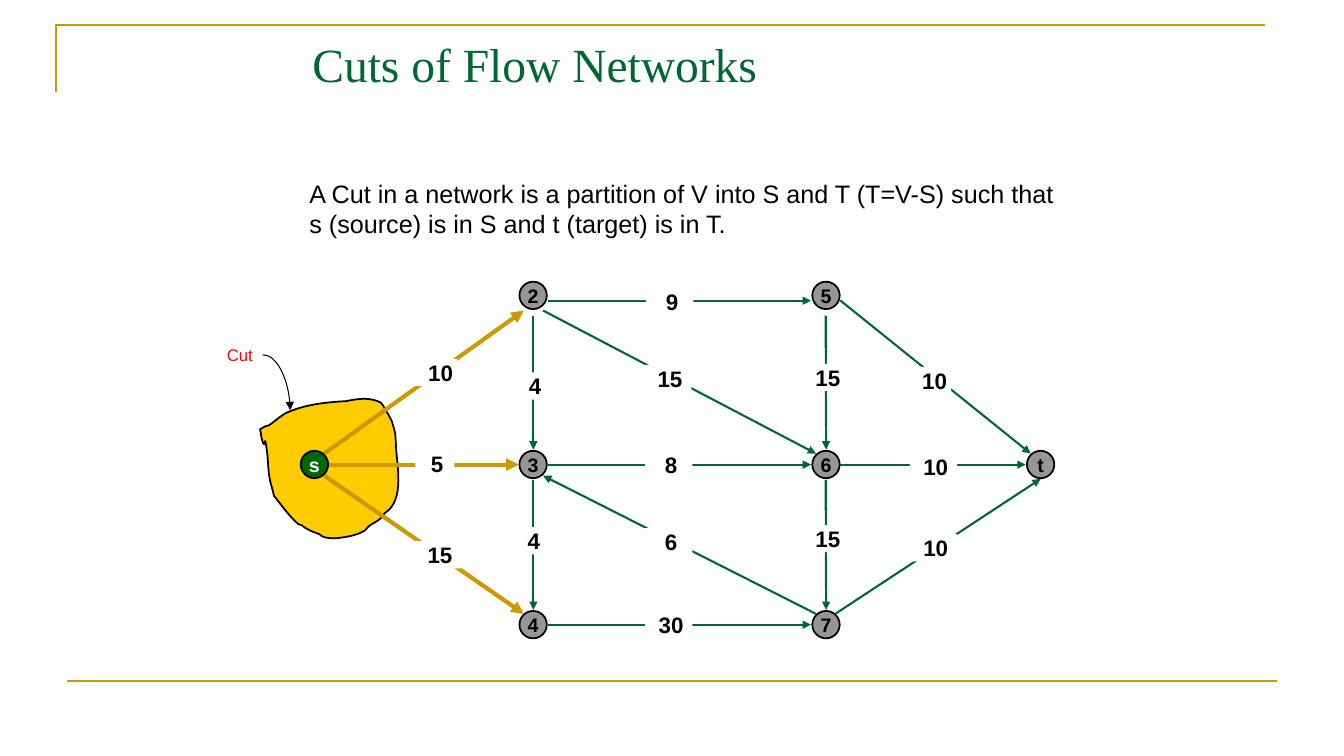
from dataclasses import dataclass

import pptx
import pptx.dml.color
import pptx.enum.shapes
import pptx.enum.text
import pptx.oxml.ns
import pptx.util
from lxml import etree

Pt = pptx.util.Pt
RGB = pptx.dml.color.RGBColor
Kind = pptx.enum.shapes.MSO_SHAPE
Link = pptx.enum.shapes.MSO_CONNECTOR
Align = pptx.enum.text.PP_ALIGN
Anchor = pptx.enum.text.MSO_ANCHOR
qn = pptx.oxml.ns.qn

WHITE = RGB(255, 255, 255)
BLACK = RGB(0, 0, 0)
RED = RGB(255, 0, 0)
GOLD = RGB(0xCC, 0x99, 0x00)
AMBER = RGB(0xFF, 0xCC, 0x00)
GREEN = RGB(0x00, 0x66, 0x33)
SOURCE = RGB(0x00, 0x66, 0x00)
GRAY = RGB(0x96, 0x96, 0x96)

NODE = 19.6
COST_HIGH = 19.4


@dataclass(frozen=True)
class Node:
    name: str
    x: float
    y: float
    fill: RGB = GRAY
    ink: RGB = BLACK


@dataclass(frozen=True)
class Edge:
    x1: float
    y1: float
    x2: float
    y2: float
    cost: str
    left: float
    top: float
    wide: float = 33.8
    pad: float = 3.3
    cut: bool = False


TOP, MID, LOW = 211, 331.8, 446.2
NODES = [
    Node("s", 224.7, MID, SOURCE, WHITE),
    Node("2", 381, TOP), Node("3", 381, MID), Node("4", 381, LOW),
    Node("5", 590.3, TOP), Node("6", 590.3, MID), Node("7", 590.3, LOW),
    Node("t", 743.7, MID),
]
EDGES = [
    Edge(231.8, 324, 374.4, 221.8, "10", 293, 256.3, pad=10, cut=True),
    Edge(235.4, 331.9, 370.8, 331.9, "5", 296.8, 321.8, 28, cut=True),
    Edge(231.8, 339.8, 374.4, 438.5, "15", 295.9, 386.6, cut=True),
    Edge(391.7, 331.9, 579.6, 331.9, "8", 461, 322.6),
    Edge(583.2, 438.5, 388.1, 339.8, "6", 461, 377.3),
    Edge(381.2, 342.7, 381.2, 435.6, "4", 362.9, 376.6),
    Edge(391.7, 214.8, 579.6, 214.8, "9", 461.8, 205.9),
    Edge(391.7, 446.2, 579.6, 446.2, "30", 461.1, 436.3),
    Edge(381.2, 225.4, 381.2, 321.1, "4", 363.8, 266.1),
    Edge(590.1, 342.7, 590.4, 435.6, "15", 573.1, 375.1),
    Edge(590.1, 225.4, 590.4, 321.1, "15", 573.1, 259.9),
    Edge(388.1, 221.8, 583.2, 324, "15", 460.3, 260.6),
    Edge(600.5, 214.6, 736.6, 324, "10", 646, 262.1, pad=10),
    Edge(600.5, 331.9, 733, 331.9, "10", 650.2, 324),
    Edge(596.9, 438.5, 743.8, 342, "10", 650.2, 381.6),
]
START = (185.8, 306.7)
BENDS = [
    (187.2, 306, 187.9, 305.3, 189.4, 304.6),
    (190.1, 304.6, 191.5, 303.8, 192.2, 303.8),
    (196.6, 301, 202.3, 295.2, 207.4, 293.8),
    (219.6, 288.7, 234, 287.3, 247, 286.6),
    (254.9, 285.1, 262.1, 283.7, 270, 286.6),
    (273.6, 287.3, 274.3, 291.6, 276.5, 294.5),
    (277.9, 296.6, 280.1, 301, 280.1, 301),
    (283, 311.8, 282.2, 306, 283, 318.2),
    (283, 329.8, 290.2, 357.1, 275, 366.5),
    (272.2, 370.8, 270, 372.2, 265.7, 374.4),
    (258.5, 379.4, 265.7, 376.6, 257, 380.9),
    (252, 383, 246.2, 383.8, 240.5, 384.5),
    (237.6, 384.5, 234.7, 384.5, 231.8, 383.8),
    (230.4, 383.8, 229.7, 382.3, 228.2, 381.6),
    (226.1, 380.2, 225.4, 380.9, 222.5, 379.4),
    (212.4, 374.4, 219.6, 376.6, 213.1, 374.4),
    (206.6, 368.6, 201.6, 361.4, 195.8, 354.2),
    (195.8, 352.1, 194.4, 349.9, 194.4, 348.5),
    (193, 344.9, 192.2, 338.4, 192.2, 338.4),
    (191.5, 333.4, 191.5, 327.6, 190.8, 322.6),
    (188.6, 305.3, 190.1, 324.7, 187.2, 313.9),
    (186.5, 311.8, 186.5, 308.9, 185.8, 306.7),
]


def outline(slide, dots: list, ink: RGB, size: float, fill=None):
    spots = [(Pt(x), Pt(y)) for x, y in dots]
    pen = slide.shapes.build_freeform(*spots[0])
    pen.add_line_segments(spots[1:], close=fill is not None)
    shape = pen.convert_to_shape()
    paint(shape, fill, ink, size)
    return shape


def bend(shape) -> None:
    legs = list(shape._element.iter(qn("a:lnTo")))
    for i in range(0, len(legs), 3):
        curve = etree.Element(qn("a:cubicBezTo"))
        legs[i].addprevious(curve)
        for leg in legs[i:i + 3]:
            curve.append(leg[0])
            leg.getparent().remove(leg)


def paint(shape, fill=None, ink=None, size: float = 1.25) -> None:
    shape.shadow.inherit = False
    if fill is None:
        shape.fill.background()
    else:
        shape.fill.solid()
        shape.fill.fore_color.rgb = fill
    if ink is None:
        shape.line.fill.background()
    else:
        shape.line.color.rgb = ink
        shape.line.width = Pt(size)


def write(shape, lines: list, size: float, ink: RGB, font: str = "Arial",
          bold: bool = False, align=Align.LEFT, anchor=Anchor.TOP,
          pads: tuple = (7.2, 3.6, 7.2, 3.6), wrap: bool = False) -> None:
    frame = shape.text_frame
    frame.word_wrap = wrap
    frame.vertical_anchor = anchor
    (frame.margin_left, frame.margin_top,
     frame.margin_right, frame.margin_bottom) = map(Pt, pads)
    for i, line in enumerate(lines):
        para = frame.add_paragraph() if i else frame.paragraphs[0]
        para.alignment = align
        run = para.add_run()
        run.text = line
        run.font.name = font
        run.font.size = Pt(size)
        run.font.bold = bold
        run.font.color.rgb = ink


def box(slide, x: float, y: float, w: float, h: float):
    return slide.shapes.add_textbox(Pt(x), Pt(y), Pt(w), Pt(h))


def join(slide, ends: tuple, ink: RGB, size: float, head: bool = True,
         kind=Link.STRAIGHT):
    line = slide.shapes.add_connector(kind, *map(Pt, ends))
    line.line.color.rgb = ink
    line.line.width = Pt(size)
    if head:
        stroke = line._element.spPr.find(qn("a:ln"))
        etree.SubElement(stroke, qn("a:tailEnd"), type="triangle")
    etree.SubElement(line._element.spPr, qn("a:effectLst"))
    return line


def draw_node(slide, node: Node) -> None:
    disc = slide.shapes.add_shape(Kind.OVAL, Pt(node.x - NODE / 2),
                                  Pt(node.y - NODE / 2), Pt(NODE), Pt(NODE))
    paint(disc, node.fill, BLACK)
    write(disc, [node.name], 14, node.ink, bold=True, align=Align.CENTER,
          anchor=Anchor.MIDDLE)


def draw_cost(slide, edge: Edge) -> None:
    tag = slide.shapes.add_shape(Kind.RECTANGLE, Pt(edge.left), Pt(edge.top),
                                 Pt(edge.wide), Pt(COST_HIGH))
    paint(tag, WHITE)
    write(tag, [edge.cost], 16, BLACK, bold=True, align=Align.CENTER,
          pads=(edge.pad, 0, 0, 0), wrap=True)


def main() -> None:
    deck = pptx.Presentation()
    deck.slide_width, deck.slide_height = Pt(960.5), Pt(540)
    slide = deck.slides.add_slide(deck.slide_layouts[6])
    outline(slide, [(40.3, 66), (40.3, 18), (904.3, 18)], GOLD, 1.5)
    join(slide, (48.2, 486.2, 912.5, 486.2), GOLD, 1.5, head=False)
    write(box(slide, 216.2, 21.4, 648, 90), ["Cuts of Flow Networks"], 34, GREEN,
          "Times New Roman", wrap=True)
    write(box(slide, 214, 123.8, 553.7, 50.4), [
        "A Cut in a network is a partition of V into S and T (T=V-S) such that",
        "s (source) is in S and t (target) is in T."], 18, BLACK)
    ends = [row[i:i + 2] for row in BENDS for i in (0, 2, 4)]
    bend(outline(slide, [START, *ends], BLACK, 1.25, AMBER))
    for node in NODES:
        draw_node(slide, node)
    for edge in EDGES:
        join(slide, (edge.x1, edge.y1, edge.x2, edge.y2),
             GOLD if edge.cut else GREEN, 3 if edge.cut else 1.5)
    for edge in EDGES:
        draw_cost(slide, edge)
    write(box(slide, 155, 242.6, 33.1, 21.6), ["Cut"], 12, RED)
    curve = join(slide, (187.9, 253.4, 207.4, 293), BLACK, 0.75, kind=Link.CURVE)
    curve._element.spPr.find(qn("a:prstGeom")).set("prst", "curvedConnector2")
    deck.save("out.pptx")


if __name__ == "__main__":
    main()
